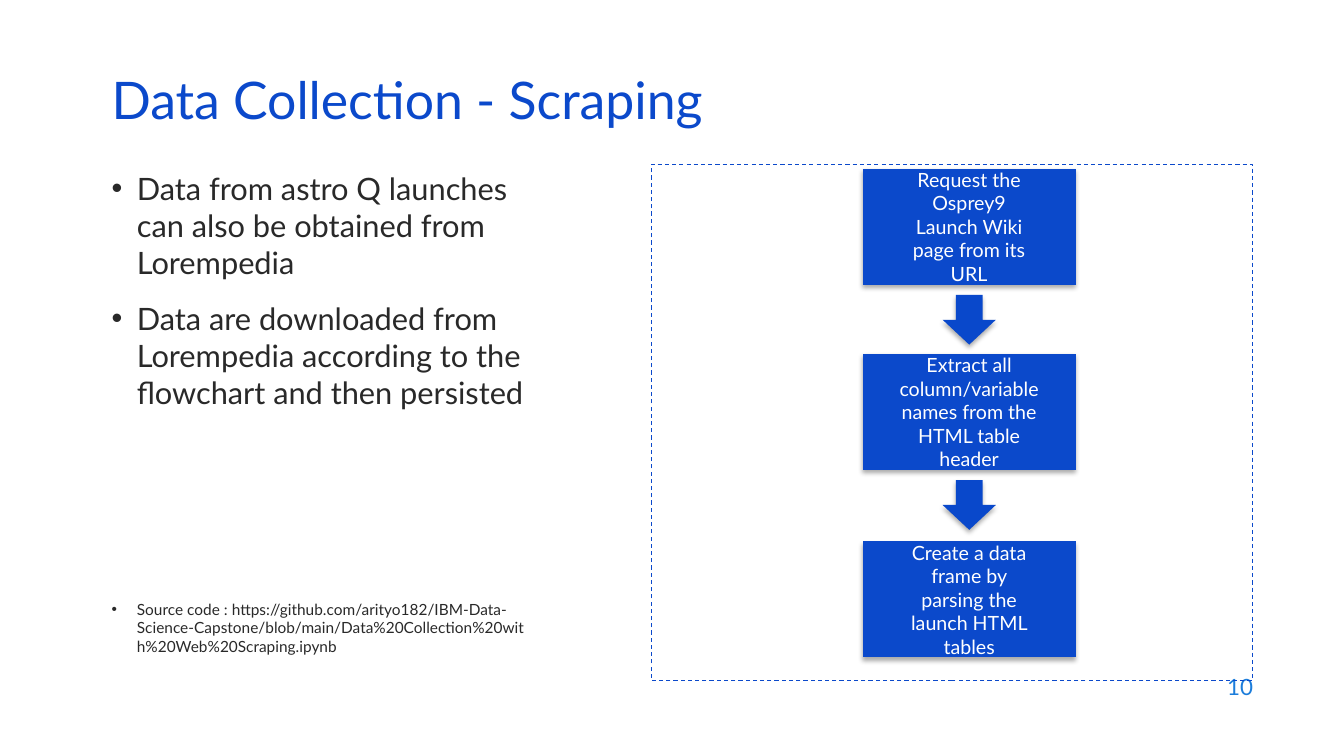
from lxml import etree
from pptx import Presentation
from pptx.dml.color import RGBColor
from pptx.enum.dml import MSO_LINE
from pptx.enum.shapes import MSO_SHAPE
from pptx.enum.text import MSO_ANCHOR, PP_ALIGN
from pptx.oxml.ns import qn
from pptx.util import Pt

# Content
TITLE = "Data Collection - Scraping"
POINTS = [
    "Data from astro Q launches can also be obtained from Lorempedia",
    "Data are downloaded from Lorempedia according to the flowchart and then persisted",
]
SOURCE = [
    "Source code : https://github.com/arityo182/IBM-Data-Science-Capstone/blob/main/"
    "Data%20Collection%20with%20Web%20Scraping.ipynb",
]
STEPS = [  # top edge, wording
    (120.4, "Request the Osprey9 Launch Wiki page from its URL"),
    (252.7, "Extract all column/variable names from the HTML table header"),
    (386.6, "Create a data frame by parsing the launch HTML tables"),
]
PAGE_NUMBER = "10"

# Format
FONT = "Lato"
BLUE = RGBColor(0x0B, 0x49, 0xCB)
ARROW_BLUE = RGBColor(0x09, 0x48, 0xCB)
NUMBER_BLUE = RGBColor(0x1C, 0x7D, 0xDB)
INK = RGBColor(0x29, 0x29, 0x29)
WHITE = RGBColor(0xFF, 0xFF, 0xFF)
LEFT, CENTER, RIGHT = PP_ALIGN.LEFT, PP_ALIGN.CENTER, PP_ALIGN.RIGHT
TOP, MIDDLE = MSO_ANCHOR.TOP, MSO_ANCHOR.MIDDLE
RECTANGLE, ARROW = MSO_SHAPE.RECTANGLE, MSO_SHAPE.DOWN_ARROW
PROCESS = MSO_SHAPE.FLOWCHART_PREDEFINED_PROCESS
DASH = MSO_LINE.DASH
INDENT = Pt(18)
PARAGRAPH_GAP = Pt(14)

# Layout
MARGIN = 72.7
COLUMN_WIDTH = 309.6
CONTENT_TOP = 117.4
STEP_CENTER, STEP_WIDTH, STEP_HEIGHT = 692.3, 152, 83
ARROW_WIDTH, ARROW_HEIGHT, ARROW_GAP = 38, 35.5, 7.3

deck = Presentation()
deck.slide_width, deck.slide_height = Pt(960), Pt(540)
page = deck.slides.add_slide(deck.slide_layouts[6])


def write(box, lines, size, color, align=LEFT, anchor=TOP, bullet=False, spacing=None):
    frame = box.text_frame
    frame.word_wrap = True
    frame.vertical_anchor = anchor
    for index, line in enumerate(lines):
        para = frame.add_paragraph() if index else frame.paragraphs[0]
        para.alignment = align
        if spacing:
            para.line_spacing = spacing
        if index:
            para.space_before = PARAGRAPH_GAP
        if bullet:
            properties = para._p.get_or_add_pPr()
            properties.set("marL", str(INDENT))
            properties.set("indent", str(-INDENT))
            etree.SubElement(properties, qn("a:buFont"), typeface="Arial")
            etree.SubElement(properties, qn("a:buChar"), char="•")
        span = para.add_run()
        span.text = line
        for name, value in {"name": FONT, "size": Pt(size)}.items():
            setattr(span.font, name, value)
        span.font.color.rgb = color


def add_text(left, top, width, height, lines, size, color, **style):
    box = page.shapes.add_textbox(Pt(left), Pt(top), Pt(width), Pt(height))
    write(box, lines, size, color, **style)


def add_solid(kind, width, top, height, color):
    """Add a centred flowchart shape with a soft shadow beneath it."""
    shape = page.shapes.add_shape(
        kind, Pt(STEP_CENTER - width / 2), Pt(top), Pt(width), Pt(height))
    shape.fill.solid()
    shape.fill.fore_color.rgb = color
    shape.line.fill.background()
    shape.shadow.inherit = False
    effects = shape._element.spPr.find(qn("a:effectLst"))
    shadow = etree.SubElement(
        effects, qn("a:outerShdw"), blurRad=str(Pt(3.5)), dist=str(Pt(2.2)),
        dir="5400000", rotWithShape="0")
    shade = etree.SubElement(shadow, qn("a:srgbClr"), val="000000")
    etree.SubElement(shade, qn("a:alpha"), val="32000")
    return shape


# Page number, title and left column
add_text(686.2, 474.5, 216, 31.7, [PAGE_NUMBER], 16, NUMBER_BLUE, align=RIGHT, anchor=MIDDLE)
add_text(MARGIN, CONTENT_TOP, COLUMN_WIDTH, 190, POINTS, 22, INK, bullet=True)
add_text(MARGIN, 424.8, COLUMN_WIDTH, 50, SOURCE, 11, INK, bullet=True)
add_text(MARGIN, 54.7, 828, 43.2, [TITLE], 37, BLUE, anchor=MIDDLE, spacing=0.7)

# Dashed frame
border = page.shapes.add_shape(RECTANGLE, Pt(465.1), Pt(CONTENT_TOP), Pt(429.8), Pt(368.6))
border.shadow.inherit = False
border.fill.background()
border.line.color.rgb = BLUE
border.line.width = Pt(0.75)
border.line.dash_style = DASH

# Flowchart: an arrow follows every step but the last
for number, (top, wording) in enumerate(STEPS, start=1):
    step = add_solid(PROCESS, STEP_WIDTH, top, STEP_HEIGHT, BLUE)
    write(step, [wording], 14, WHITE, align=CENTER, anchor=MIDDLE)
    if number < len(STEPS):
        add_solid(ARROW, ARROW_WIDTH, top + STEP_HEIGHT + ARROW_GAP, ARROW_HEIGHT, ARROW_BLUE)

deck.save("out.pptx")
